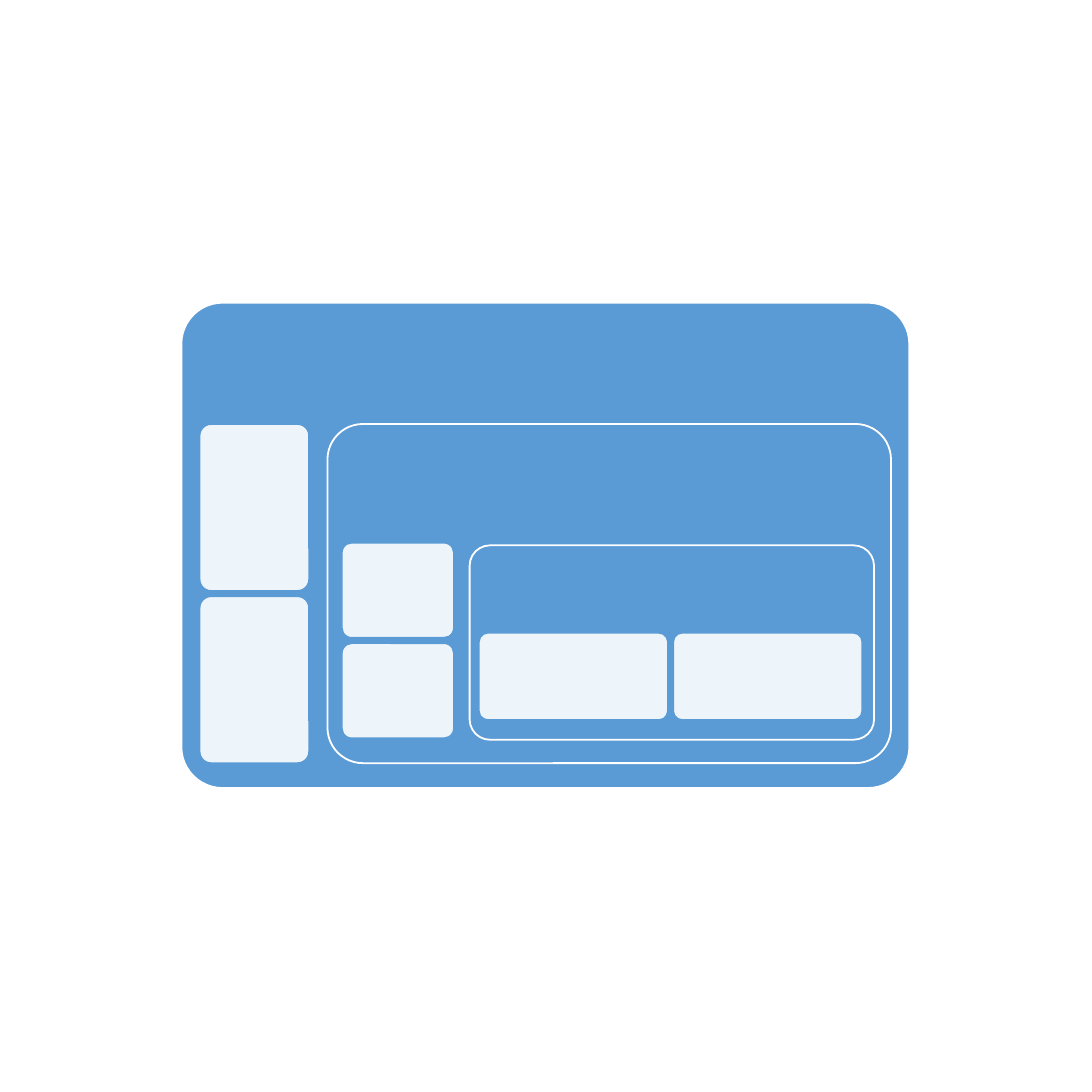
from lxml import etree
from pptx import Presentation
from pptx.dml.color import RGBColor
from pptx.enum.shapes import MSO_SHAPE
from pptx.oxml.ns import qn
from pptx.util import Inches, Pt

BLUE = "5B9BD5"
WHITE = "FFFFFF"
CARD_GAP = 0.04
CARD_OPACITY = 90


def color(hex_value):
    """Turn a hex string into a colour."""
    return RGBColor.from_string(hex_value)


def add_rounded(group, box, fill, line, corner=0.105):
    """Add a rounded rectangle with a one-point outline."""
    shape = group.shapes.add_shape(
        MSO_SHAPE.ROUNDED_RECTANGLE, *(Inches(length) for length in box))
    shape.adjustments[0] = corner
    shape.shadow.inherit = False
    shape.fill.solid()
    shape.fill.fore_color.rgb = color(fill)
    shape.line.color.rgb = color(line)
    shape.line.width = Pt(1)
    return shape


def add_card(group, box):
    """Add a white card that lets a little of its panel through."""
    card = add_rounded(group, box, WHITE, BLUE)
    fill_color = card.fill._xPr.find(qn("a:solidFill"))[0]
    alpha = etree.SubElement(fill_color, qn("a:alpha"))
    alpha.set("val", str(CARD_OPACITY * 1000))


def add_panel(group, box, card_offset, card_size, stacked, corner=0.105):
    """Add a blue panel holding two cards, stacked or side by side."""
    add_rounded(group, box, BLUE, WHITE, corner)
    left, top = box[0] + card_offset[0], box[1] + card_offset[1]
    width, height = card_size
    step_x = 0 if stacked else width + CARD_GAP
    step_y = height + CARD_GAP if stacked else 0
    for index in range(2):
        add_card(group, (left + index * step_x, top + index * step_y,
                         width, height))


def add_nested_panels(slide, left, top):
    """Place three nested panels from the outermost to the innermost."""
    group = slide.shapes.add_group_shape()
    add_panel(group, (left, top, 5.58, 3.72),
              (0.14, 0.93), (0.84, 1.28), True, 0.085)
    add_panel(group, (left + 1.12, top + 0.93, 4.32, 2.6),
              (0.11, 0.91), (0.86, 0.73), True)
    add_panel(group, (left + 2.21, top + 1.86, 3.1, 1.49),
              (0.07, 0.67), (1.45, 0.67), False)


def main():
    """Build and save the presentation."""
    presentation = Presentation()
    presentation.slide_width = Inches(8.37)
    presentation.slide_height = Inches(8.37)
    slide = presentation.slides.add_slide(presentation.slide_layouts[6])
    add_nested_panels(slide, 1.39, 2.32)
    presentation.save("out.pptx")


if __name__ == "__main__":
    main()
